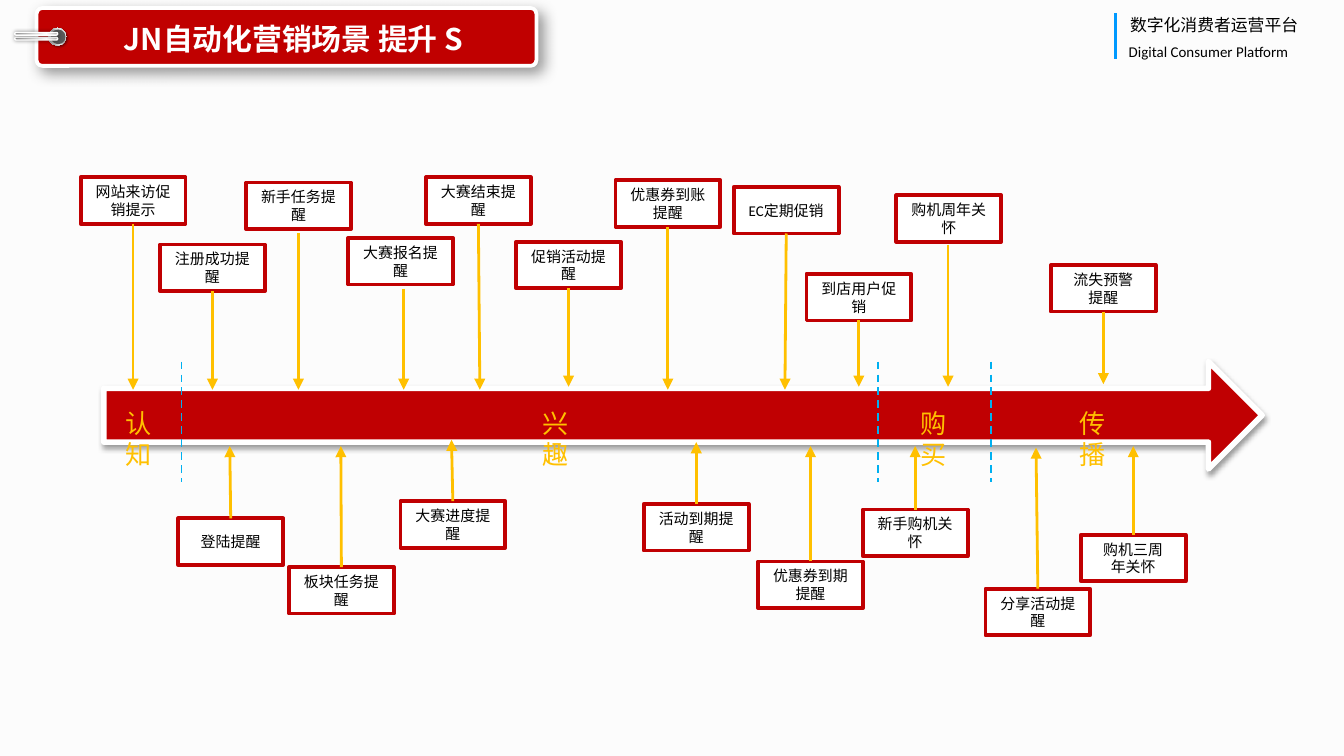
from typing import NamedTuple, Optional

from lxml.etree import SubElement
from pptx import Presentation
from pptx.dml.color import RGBColor
from pptx.enum.dml import MSO_LINE
from pptx.enum.shapes import MSO_CONNECTOR, MSO_SHAPE
from pptx.enum.text import MSO_ANCHOR, MSO_AUTO_SIZE, PP_ALIGN
from pptx.oxml.ns import qn
from pptx.util import Pt

BACKGROUND = RGBColor(0xFC, 0xFC, 0xFC)
WHITE = RGBColor(0xFF, 0xFF, 0xFF)
BLACK = RGBColor(0x00, 0x00, 0x00)
GREY = RGBColor(0x59, 0x59, 0x59)
TITLE_RED = RGBColor(0xC0, 0x00, 0x00)
RED = RGBColor(0xC0, 0x00, 0x02)
GOLD = RGBColor(0xFF, 0xC0, 0x00)
BLUE = RGBColor(0x00, 0x99, 0xFF)
CYAN = RGBColor(0x00, 0xB0, 0xF0)

RING_STOPS = [(0, "FFFFFF"), (17, "A6A6A6"), (35, "F2F2F2"),
              (55, "A6A6A6"), (75, "F2F2F2"), (100, "A6A6A6")]
PIN_STOPS = [(0, "808080"), (23, "A6A6A6"), (52, "D9D9D9"),
             (74, "FFFFFF"), (100, "A6A6A6")]
BOX_W, BOX_H = 56.2, 25


class Shadow(NamedTuple):
    alpha: int
    blur: float
    dist: float
    angle: int


class Step(NamedTuple):
    text: str
    left: float
    top: float
    tip_y: float
    shift: float = 0  # arrow tip relative to the box centre
    gap: float = 0    # free space between box and arrow


STEPS = [
    Step("网站来访促销提示", 43.2, 95, 208.8),
    Step("注册成功提醒", 85.7, 131, 208.8),
    Step("登陆提醒", 95.5, 277.7, 239, -0.5),
    Step("新手任务提醒", 131.8, 97.8, 208.8, 0, 2.2),
    Step("板块任务提醒", 154.8, 303.8, 239, -0.3),
    Step("大赛报名提醒", 186.5, 127.5, 208.8, 1.7, 2.2),
    Step("大赛进度提醒", 214.5, 268.5, 235.6, -0.7),
    Step("大赛结束提醒", 228.2, 95, 208.8, 0.8),
    Step("促销活动提醒", 276.5, 129.5, 207.2),
    Step("优惠券到账提醒", 329.7, 96.5, 208.8),
    Step("活动到期提醒", 344.9, 270, 236.9),
    Step("EC定期促销", 393.1, 100.1, 208.8, -0.7),
    Step("优惠券到期提醒", 406.1, 300.8, 239),
    Step("到店用户促销", 432, 146.7, 207.2),
    Step("新手购机关怀", 462.2, 273, 239),
    Step("购机周年关怀", 480.2, 104.6, 207.2, -0.4, 1.5),
    Step("流失预警\n提醒", 563, 142, 205.8),
    Step("购机三周\n年关怀", 579, 286.5, 239),
    Step("分享活动提醒", 527.9, 315.4, 239.8, -1),
]


def write(s, text: str, *, size: float, color: RGBColor, font: str = "Calibri",
          bold: bool = False, align=PP_ALIGN.CENTER, anchor=MSO_ANCHOR.TOP,
          insets=(7.2, 3.6), grow: bool = False) -> None:
    tf = s.text_frame
    tf.word_wrap = True
    tf.vertical_anchor = anchor
    tf.margin_left = tf.margin_right = Pt(insets[0])
    tf.margin_top = tf.margin_bottom = Pt(insets[1])
    if grow:
        tf.auto_size = MSO_AUTO_SIZE.SHAPE_TO_FIT_TEXT
    for i, part in enumerate(text.split("\n")):
        p = tf.add_paragraph() if i else tf.paragraphs[0]
        p.alignment = align
        r = p.add_run()
        r.text = part
        r.font.size, r.font.name, r.font.bold = Pt(size), font, bold
        r.font.color.rgb = color
        if font != "Calibri":
            SubElement(r.font._element, qn("a:ea"), typeface=font)


def add_label(slide, text: str, box: tuple, **fmt) -> None:
    write(slide.shapes.add_textbox(*map(Pt, box)), text, grow=True, **fmt)


def add_block(slide, kind, box: tuple, fill: Optional[RGBColor] = None,
              line: Optional[RGBColor] = None, weight: float = 0,
              shadow: Optional[Shadow] = None):
    s = slide.shapes.add_shape(kind, *map(Pt, box))
    if fill is not None:
        s.fill.solid()
        s.fill.fore_color.rgb = fill
    if line is None:
        s.line.fill.background()
    else:
        s.line.color.rgb = line
        s.line.width = Pt(weight)
    s.shadow.inherit = False
    if shadow:
        effects = s._element.spPr.find(qn("a:effectLst"))
        outer = SubElement(effects, qn("a:outerShdw"), blurRad=str(Pt(shadow.blur)),
                           dist=str(Pt(shadow.dist)), dir=str(shadow.angle * 60000),
                           algn="ctr", rotWithShape="0")
        tint = SubElement(outer, qn("a:srgbClr"), val="000000")
        SubElement(tint, qn("a:alpha"), val=str(shadow.alpha * 1000))
    return s


def set_gradient(s, stops: list, angle: int) -> None:
    s.fill.gradient()
    s.fill.gradient_angle = 360 - angle
    holder = next(s._element.spPr.iter(qn("a:gsLst")))
    for old in list(holder):
        holder.remove(old)
    for pos, color in stops:
        stop = SubElement(holder, qn("a:gs"), pos=str(pos * 1000))
        SubElement(stop, qn("a:srgbClr"), val=color)


def add_line(slide, x1: float, y1: float, x2: float, y2: float, color: RGBColor,
             weight: float, dashed: bool = False, arrow: bool = False):
    c = slide.shapes.add_connector(MSO_CONNECTOR.STRAIGHT, *map(Pt, (x1, y1, x2, y2)))
    c.line.color.rgb = color
    c.line.width = Pt(weight)
    if dashed:
        c.line.dash_style = MSO_LINE.DASH
    if arrow:
        SubElement(c.line._get_or_add_ln(), qn("a:tailEnd"), type="triangle")
    SubElement(c._element.spPr, qn("a:effectLst"))
    return c


def add_step(slide, step: Step) -> None:
    s = add_block(slide, MSO_SHAPE.RECTANGLE, (step.left, step.top, BOX_W, BOX_H),
                  WHITE, RED, 2)
    write(s, step.text, size=8, color=BLACK, anchor=MSO_ANCHOR.MIDDLE)
    center = step.left + BOX_W / 2
    above = step.top < step.tip_y
    start_y = step.top + BOX_H + step.gap if above else step.top
    start_x = center + step.shift if step.gap else center
    c = add_line(slide, start_x, start_y, center + step.shift, step.tip_y,
                 GOLD, 1.5, arrow=True)
    if not step.gap:
        c.begin_connect(s, 2 if above else 0)


def main() -> None:
    prs = Presentation()
    prs.slide_width, prs.slide_height = Pt(720), Pt(405)
    slide = prs.slides.add_slide(prs.slide_layouts[6])
    slide.background.fill.solid()
    slide.background.fill.fore_color.rgb = BACKGROUND

    # Platform name, top right
    add_line(slide, 597.6, 7, 597.6, 31.7, BLUE, 1.5)
    add_label(slide, "数字化消费者运营平台", (598.3, 4.3, 112.3, 18),
              size=9, color=BLACK, align=PP_ALIGN.JUSTIFY)
    add_label(slide, "Digital Consumer Platform", (597.6, 19.4, 113, 17.3),
              size=8, color=BLACK, align=PP_ALIGN.JUSTIFY)

    # Title tag with ring and pins
    tag = add_block(slide, MSO_SHAPE.ROUNDED_RECTANGLE, (19.6, 4.3, 267.8, 31),
                    TITLE_RED, WHITE, 2, Shadow(40, 8, 4, 45))
    tag.adjustments[0] = 0.1
    ring = add_block(slide, MSO_SHAPE.OVAL, (26, 15, 9.4, 9.4),
                     shadow=Shadow(40, 1, 1, 45))
    set_gradient(ring, RING_STOPS, 45)
    hole = add_block(slide, MSO_SHAPE.OVAL, (27.2, 15.8, 7.9, 7.9), GREY)
    ring.rotation = hole.rotation = 270
    add_label(slide, "JN自动化营销场景 提升 S", (36.7, 7.9, 241.2, 25.2), size=16,
              color=WHITE, font="Noto Sans CJK SC", bold=True, insets=(5, 2.9))
    for top in (9.2, 6.6):
        pin = add_block(slide, MSO_SHAPE.ROUNDED_RECTANGLE, (18.7, top, 1.4, 23),
                        line=WHITE, weight=0.75, shadow=Shadow(40, 2, 0, 0))
        pin.adjustments[0] = 0.5
        pin.rotation = 270
        set_gradient(pin, PIN_STOPS, 90)

    # Journey arrow
    add_block(slide, MSO_SHAPE.RIGHT_ARROW, (55.6, 193.7, 620.6, 57.6),
              RED, WHITE, 3, Shadow(38, 3.1, 1.6, 90))

    # Reminders along the journey
    for step in STEPS:
        add_step(slide, step)

    # Phase borders and names
    for x in (97.2, 470.3, 530.8):
        add_line(slide, x, 193.7, x, 258.5, CYAN, 1, dashed=True)
    for name, left in (("认知", 60.2), ("兴趣", 283.5), ("购买", 486), ("传播", 571)):
        add_label(slide, name, (left, 214.6, 32.4, 17.3),
                  size=14, color=GOLD, align=PP_ALIGN.LEFT)

    prs.save("out.pptx")


if __name__ == "__main__":
    main()
